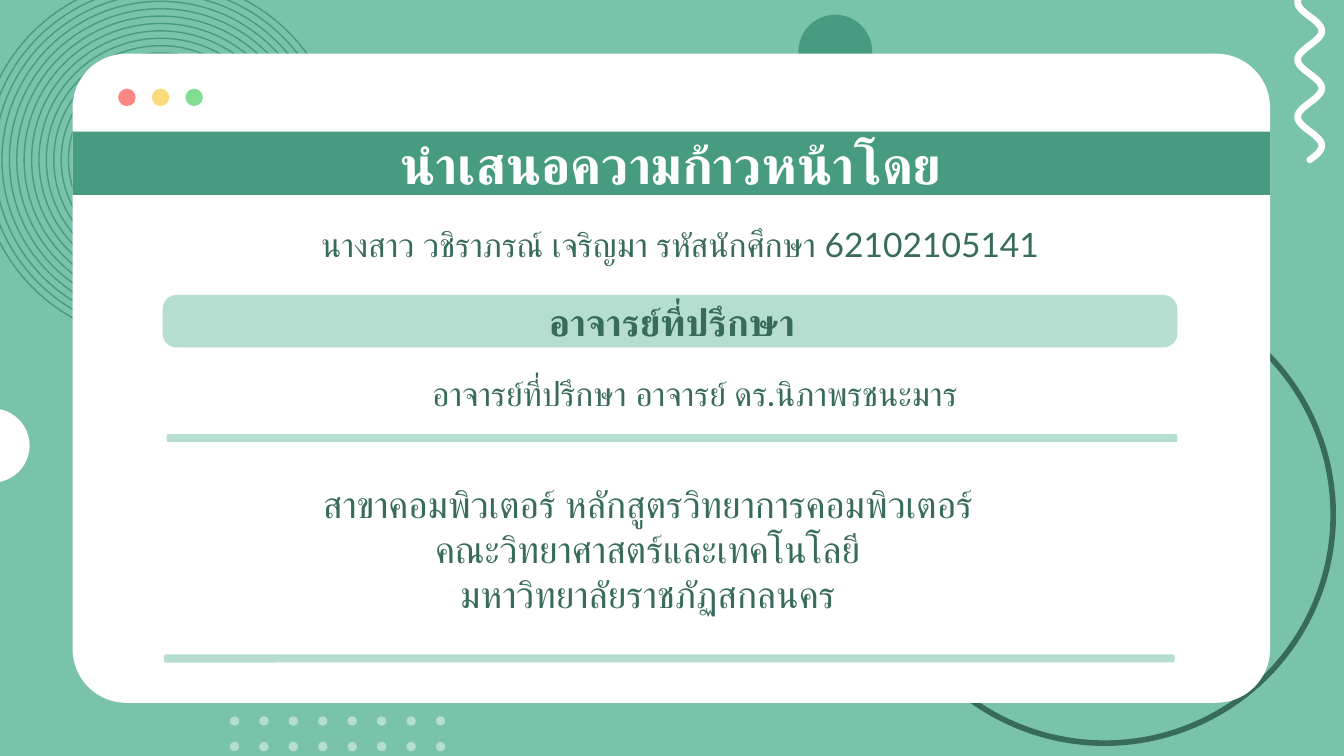
import math
import lxml.etree
import pptx
import pptx.dml.color
import pptx.enum.shapes
import pptx.enum.text
import pptx.oxml.ns
import pptx.util

COLORS = {
    "background": "79C3AA",
    "dark": "386B5B",
    "medium": "469B80",
    "light": "B5DED0",
    "white": "FFFFFF",
    "red": "FC8685",
    "yellow": "FBDA7C",
    "green": "81DD91",
}
FONT = "Lato"
KINDS = pptx.enum.shapes.MSO_SHAPE
ANCHORS = pptx.enum.text.MSO_ANCHOR
rgb = {name: pptx.dml.color.RGBColor.from_string(value) for name, value in COLORS.items()}

presentation = pptx.Presentation()
presentation.slide_width = pptx.util.Inches(10)
presentation.slide_height = presentation.slide_width * 9 // 16
COLUMN = ROW = presentation.slide_width // 100
slide = presentation.slides.add_slide(presentation.slide_layouts[6])
slide.background.fill.solid()
slide.background.fill.fore_color.rgb = rgb["background"]


def draw(kind, column, row, columns, rows, fill=None, line=None, weight=0.75, corner=None):
    shape = slide.shapes.add_shape(
        kind, int(column * COLUMN), int(row * ROW), int(columns * COLUMN), int(rows * ROW))
    shape.shadow.inherit = False
    if corner is not None:
        shape.adjustments[0] = corner
    if fill:
        shape.fill.solid()
        shape.fill.fore_color.rgb = rgb[fill]
    else:
        shape.fill.background()
    if line:
        shape.line.color.rgb = rgb[line]
        shape.line.width = pptx.util.Pt(weight)
    else:
        shape.line.fill.background()
    return shape


def write(text, box=None, shape=None, size=18, color="dark", bold=False,
          hanging=False, inset=(0, 0), anchor=ANCHORS.MIDDLE):
    if shape is None:
        column, row, columns, rows = box
        shape = slide.shapes.add_textbox(
            int(column * COLUMN), int(row * ROW), int(columns * COLUMN), int(rows * ROW))
    frame = shape.text_frame
    frame.word_wrap = True
    frame.vertical_anchor = anchor
    frame.margin_left = frame.margin_right = int(inset[0] * COLUMN)
    frame.margin_top = frame.margin_bottom = int(inset[1] * ROW)
    frame.text = text
    for paragraph in frame.paragraphs:
        paragraph.alignment = pptx.enum.text.PP_ALIGN.CENTER
        if hanging:
            properties = paragraph._p.get_or_add_pPr()
            properties.set("marL", str(int(5 * COLUMN)))
            properties.set("indent", str(int(-3.8 * COLUMN)))
        for run in paragraph.runs:
            run.font.size = pptx.util.Pt(size)
            run.font.bold = bold
            run.font.color.rgb = rgb[color]
            run.font.name = FONT
            complex_font = lxml.etree.SubElement(run._r.rPr, pptx.oxml.ns.qn("a:cs"))
            complex_font.set("typeface", FONT)
    return shape


draw(KINDS.OVAL, 65.2, 21.3, 34, 34, line="dark", weight=3)

for ring in range(13):
    diameter = 13.7 + 1.1 * ring
    draw(KINDS.OVAL, 11.95 - diameter / 2, 11.9 - diameter / 2, diameter, diameter, line="medium")

draw(KINDS.OVAL, -3.3, 30.4, 5.5, 5.5, fill="white")
draw(KINDS.OVAL, 59.4, 1.1, 5.5, 5.5, fill="medium")

wave_top, wave_bottom, wave_steps = -3.1, 11.9, 120
wave_center, wave_reach, wave_period = 97.45, 0.9, 4.27
wave_points = []
for step in range(wave_steps + 1):
    row = wave_top + (wave_bottom - wave_top) * step / wave_steps
    column = wave_center + wave_reach * math.cos(2 * math.pi * (row - 2.3) / wave_period)
    wave_points.append((int(column * COLUMN), int(row * ROW)))
builder = slide.shapes.build_freeform(*wave_points[0])
builder.add_line_segments(wave_points[1:], close=False)
wave = builder.convert_to_shape()
wave.shadow.inherit = False
wave.fill.background()
wave.line.color.rgb = rgb["white"]
wave.line.width = pptx.util.Pt(3.6)
wave_line = wave.line._get_or_add_ln()
wave_line.set("cap", "rnd")
lxml.etree.SubElement(wave_line, pptx.oxml.ns.qn("a:round"))

for dot_row in range(2):
    for dot_column in range(8):
        draw(KINDS.OVAL, 17.1 + 2.19 * dot_column, 53.3 + 1.9 * dot_row, 0.7, 0.7, fill="light")

draw(KINDS.ROUNDED_RECTANGLE, 5.4, 4, 89.1, 48.3, fill="white", corner=0.083)
for index, color in enumerate(("red", "yellow", "green")):
    draw(KINDS.OVAL, 8.8 + 2.5 * index, 6.6, 1.3, 1.3, fill=color)

for column, row, columns, rows in (
        (12.4, 32.3, 75.2, 0.6), (12.1, 21.95, 75.5, 3.9), (12.2, 48.7, 75.2, 0.6)):
    draw(KINDS.ROUNDED_RECTANGLE, column, row, columns, rows, fill="light", corner=0.265)

title_bar = draw(KINDS.RECTANGLE, 5.4, 9.8, 89.1, 4.7, fill="medium")
write("นำเสนอความก้าวหน้าโดย", shape=title_bar, size=28, color="white", bold=True)
write("นางสาว วชิราภรณ์ เจริญมา รหัสนักศึกษา 62102105141",
      box=(11.5, 16.8, 77, 2.7), hanging=True)
write("อาจารย์ที่ปรึกษา", box=(38.9, 22.1, 22.2, 3.7), size=20, bold=True)
write("อาจารย์ที่ปรึกษา อาจารย์ ดร.นิภาพรชนะมาร",
      box=(12.6, 27.9, 77, 2.7), hanging=True)
affiliation = write(
    "สาขาคอมพิวเตอร์ หลักสูตรวิทยาการคอมพิวเตอร์\n"
    "คณะวิทยาศาสตร์และเทคโนโลยี\n"
    "มหาวิทยาลัยราชภัฏสกลนคร",
    box=(10.3, 35.3, 75.8, 11.1), size=20, inset=(1, 0.5), anchor=ANCHORS.TOP)
affiliation.text_frame.auto_size = pptx.enum.text.MSO_AUTO_SIZE.SHAPE_TO_FIT_TEXT

presentation.save("out.pptx")
